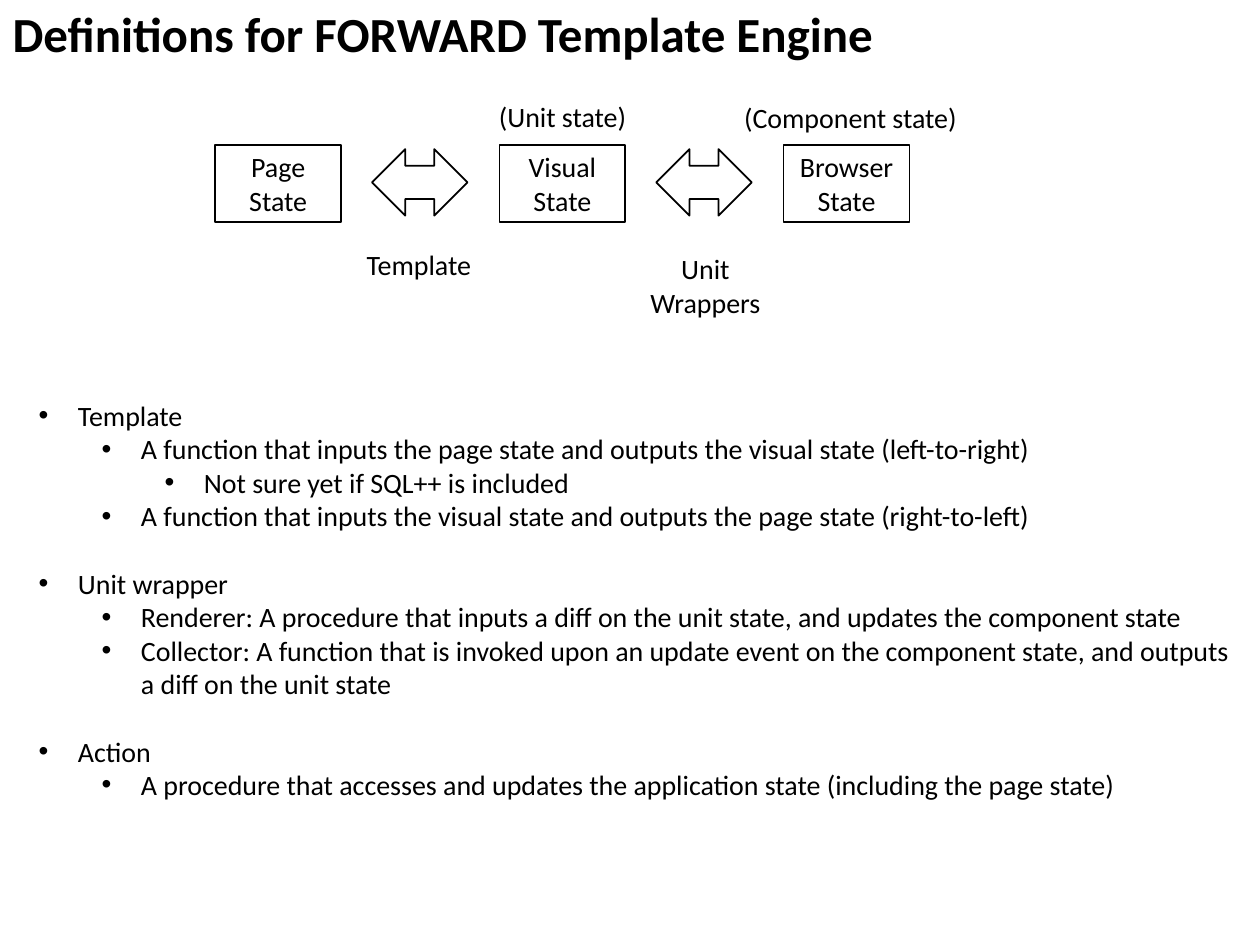
from dataclasses import dataclass

from lxml import etree
from pptx import Presentation
from pptx.dml.color import RGBColor
from pptx.enum.shapes import MSO_SHAPE
from pptx.enum.text import MSO_ANCHOR, PP_ALIGN
from pptx.oxml.ns import qn
from pptx.util import Pt

RECT, ARROW = MSO_SHAPE.RECTANGLE, MSO_SHAPE.LEFT_RIGHT_ARROW
LEFT, MID = PP_ALIGN.LEFT, PP_ALIGN.CENTER
CORE = MSO_ANCHOR.MIDDLE
BLACK, WHITE = "000000", "FFFFFF"
BODY = {"name": "Calibri", "size": Pt(16), "bold": False}
HEAD = {"name": "Calibri", "size": Pt(28), "bold": True}
STEP = 162.4  # from one state to the next


@dataclass
class Label:
    text: str
    x: float
    y: float
    w: float
    h: float


@dataclass
class Item:
    level: int
    text: str
    gap: float = 0


def paint(color, value: str) -> None:
    color.rgb = RGBColor.from_string(value)


def style(para, form: dict) -> None:
    for run in para.runs:
        for key, value in form.items():
            setattr(run.font, key, value)
        paint(run.font.color, BLACK)


def write(frame, text: str, align) -> None:
    frame.text = text
    for para in frame.paragraphs:
        para.alignment = align
        style(para, BODY)


def draw_shape(slide, kind, x: float, y: float, w: float, h: float):
    shape = slide.shapes.add_shape(kind, Pt(x), Pt(y), Pt(w), Pt(h))
    shape.shadow.inherit = False
    shape.fill.solid()
    paint(shape.fill.fore_color, WHITE)
    paint(shape.line.color, BLACK)
    shape.line.width = Pt(1)
    return shape


def draw_state(slide, label: Label) -> None:
    box = draw_shape(slide, RECT, label.x, label.y, label.w, label.h)
    box.text_frame.word_wrap = True
    box.text_frame.vertical_anchor = CORE
    write(box.text_frame, label.text, MID)


def draw_label(slide, label: Label) -> None:
    box = slide.shapes.add_textbox(Pt(label.x), Pt(label.y), Pt(label.w), Pt(label.h))
    box.text_frame.word_wrap = False
    write(box.text_frame, label.text, MID)


def draw_item(para, item: Item) -> None:
    props = para._p.get_or_add_pPr()
    props.set("marL", str(Pt(22.5 + 36 * item.level)))
    props.set("indent", str(Pt(-22.5)))
    etree.SubElement(props, qn("a:buFont")).set("typeface", "Arial")
    etree.SubElement(props, qn("a:buChar")).set("char", "•")
    para.level = item.level
    para.alignment = LEFT
    para.space_before = Pt(item.gap)
    para.add_run().text = item.text
    style(para, BODY)


STATES = [
    Label(text, 123 + i * STEP, 82.8, 72, 44)
    for i, text in enumerate(["Page State", "Visual\nState", "Browser\nState"])
]
LABELS = [
    Label("Template", 200.9, 138, 77, 26.6),
    Label("Unit\nWrappers", 363.6, 140.4, 79, 46),
    Label("(Unit state)", 277.2, 53.3, 88.6, 26.6),
    Label("(Component state)", 416.9, 54, 138.2, 26.6),
]
ITEMS = [
    Item(0, "Template"),
    Item(1, "A function that inputs the page state and outputs the visual state (left-to-right)"),
    Item(2, "Not sure yet if SQL++ is included"),
    Item(1, "A function that inputs the visual state and outputs the page state (right-to-left)"),
    Item(0, "Unit wrapper", 19.2),
    Item(1, "Renderer: A procedure that inputs a diff on the unit state, "
            "and updates the component state"),
    Item(1, "Collector: A function that is invoked upon an update event "
            "on the component state, and outputs a diff on the unit state"),
    Item(0, "Action", 19.2),
    Item(1, "A procedure that accesses and updates the application state "
            "(including the page state)"),
]


def main() -> None:
    deck = Presentation()
    deck.slide_width, deck.slide_height = Pt(720), Pt(540)
    slide = deck.slides.add_slide(deck.slide_layouts[5])

    # Title
    title = slide.shapes.title
    title.left, title.top, title.width, title.height = Pt(0), Pt(0), Pt(648), Pt(38)
    title.text_frame.text = "Definitions for FORWARD Template Engine"
    title.text_frame.vertical_anchor = CORE
    title.text_frame.paragraphs[0].alignment = LEFT
    style(title.text_frame.paragraphs[0], HEAD)

    # State diagram
    for state in STATES:
        draw_state(slide, state)
    for i in range(len(STATES) - 1):
        draw_shape(slide, ARROW, 212.6 + i * STEP, 85.2, 54.6, 38)
    for label in LABELS:
        draw_label(slide, label)

    # Definitions
    frame = slide.shapes.add_textbox(Pt(15), Pt(224), Pt(695.5), Pt(240)).text_frame
    frame.word_wrap = True
    for i, item in enumerate(ITEMS):
        draw_item(frame.add_paragraph() if i else frame.paragraphs[0], item)

    deck.save("out.pptx")


if __name__ == "__main__":
    main()
